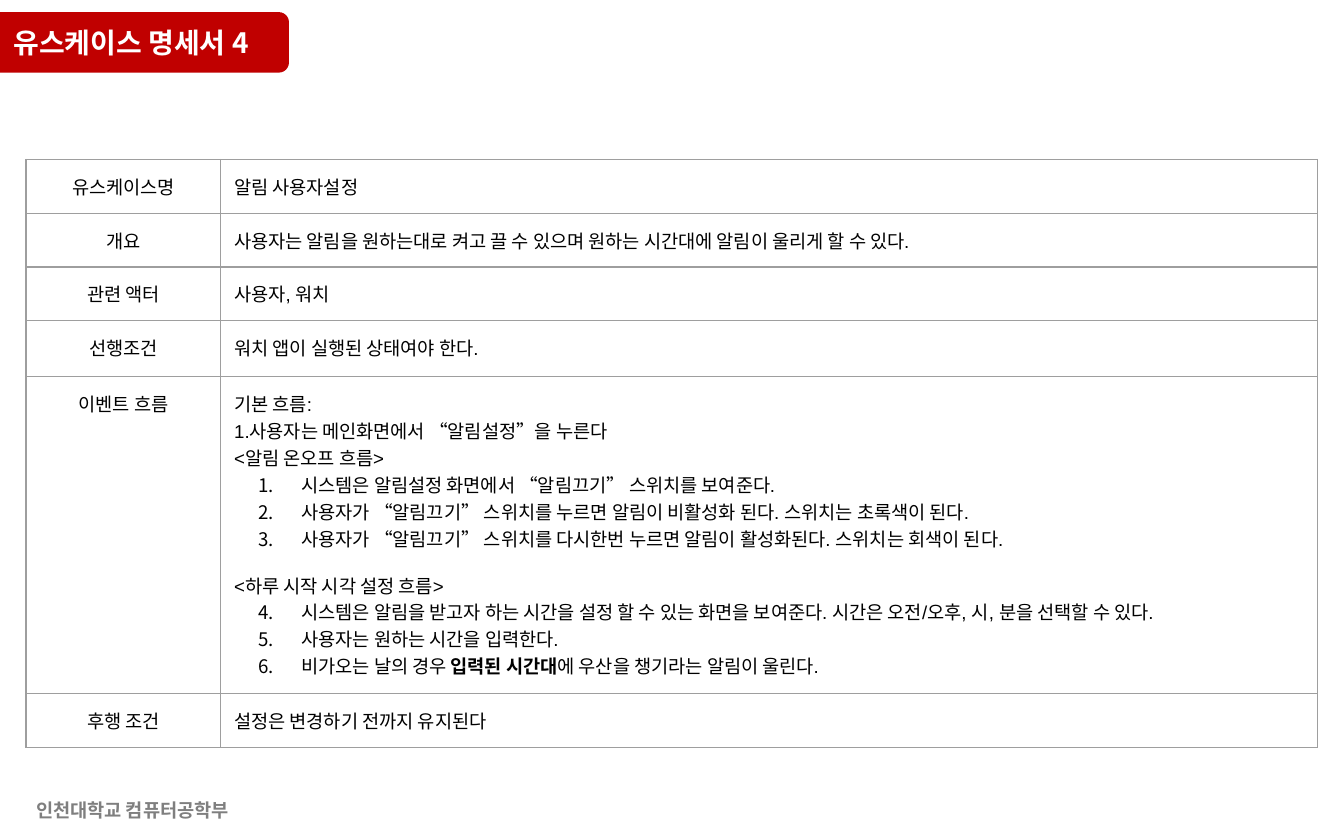
from lxml.etree import SubElement
from pptx import Presentation
from pptx.dml.color import RGBColor
from pptx.enum.shapes import MSO_SHAPE
from pptx.enum.text import MSO_ANCHOR, PP_ALIGN
from pptx.oxml import parse_xml
from pptx.oxml.ns import nsdecls, qn
from pptx.util import Pt

SANS = "Noto Sans CJK KR"
COLUMNS = [104.4, 587.4]
HEIGHTS = [28.7, 28.7, 28.7, 30, 169.8, 28.7]

EVENT_FLOW = [
    ("기본 흐름:", None),
    ("1.사용자는 메인화면에서 “알림설정”을 누른다", None),
    ("<알림 온오프 흐름>", None),
    ("시스템은 알림설정 화면에서 “알림끄기” 스위치를 보여준다.", 1),
    ("사용자가 “알림끄기” 스위치를 누르면 알림이 비활성화 된다. 스위치는 초록색이 된다.", 1),
    ("사용자가 “알림끄기” 스위치를 다시한번 누르면 알림이 활성화된다. 스위치는 회색이 된다.", 1),
    ("<하루 시작 시각 설정 흐름>", None),
    ("시스템은 알림을 받고자 하는 시간을 설정 할 수 있는 화면을 보여준다. "
     "시간은 오전/오후, 시, 분을 선택할 수 있다.", 4),
    ("사용자는 원하는 시간을 입력한다.", 4),
    ("비가오는 날의 경우 *입력된 시간대*에 우산을 챙기라는 알림이 울린다.", 4),
]
USE_CASE = [
    ("유스케이스명", [("알림 사용자설정", None)]),
    ("개요", [("사용자는 알림을 원하는대로 켜고 끌 수 있으며 원하는 시간대에 알림이 울리게 할 수 있다.", None)]),
    ("관련 액터", [("사용자, 워치", None)]),
    ("선행조건", [("워치 앱이 실행된 상태여야 한다.", None)]),
    ("이벤트 흐름", EVENT_FLOW),
    ("후행 조건", [("설정은 변경하기 전까지 유지된다", None)]),
]


def rgb(color):
    return RGBColor.from_string(color)


def format_paragraph(p, font, size, color, bold=False, align=PP_ALIGN.LEFT):
    p.alignment = align
    p.font.name = font
    p.font.size = Pt(size)
    p.font.bold = bold
    p.font.color.rgb = rgb(color)
    props = p._p.get_or_add_pPr().find(qn("a:defRPr"))
    SubElement(props, qn("a:ea")).set("typeface", SANS)


def number_paragraph(p, start):
    props = p._p.get_or_add_pPr()
    props.set("marL", str(Pt(36)))
    props.set("indent", str(Pt(-23)))
    props.insert(0, parse_xml(
        f'<a:buAutoNum {nsdecls("a")} type="arabicPeriod" startAt="{start}"/>'))


def set_margins(tf, side, top):
    tf.margin_left = tf.margin_right = Pt(side)
    tf.margin_top = tf.margin_bottom = Pt(top)


def add_title(s, text):
    bar = s.shapes.add_shape(MSO_SHAPE.ROUNDED_RECTANGLE, Pt(-11.5), Pt(6.5), Pt(166.3), Pt(32.4))
    bar.shadow.inherit = False
    bar.fill.solid()
    bar.fill.fore_color.rgb = rgb("C00000")
    bar.line.fill.background()
    title = s.shapes.title
    title.left, title.top, title.width, title.height = Pt(0), Pt(6.5), Pt(160.6), Pt(32.4)
    title.element.getparent().append(title.element)
    tf = title.text_frame
    tf.text = text
    tf.vertical_anchor = MSO_ANCHOR.MIDDLE
    set_margins(tf, 7.2, 0)
    format_paragraph(tf.paragraphs[0], SANS, 15, "FFFFFF", True)


def add_footer(s, text):
    sp = s.shapes.add_textbox(Pt(0), Pt(424.1), Pt(141.8), Pt(19.4))
    tf = sp.text_frame
    tf.word_wrap = True
    tf.vertical_anchor = MSO_ANCHOR.MIDDLE
    set_margins(tf, 7.2, 0)
    tf.text = text
    format_paragraph(tf.paragraphs[0], SANS, 10, "7F7F7F", True, PP_ALIGN.CENTER)


def format_cell(cell, color):
    cell.fill.background()
    set_margins(cell, 7.2, 7.2)
    props = cell._tc.get_or_add_tcPr()
    for i, side in enumerate("LRTB"):
        props.insert(i, parse_xml(
            f'<a:ln{side} {nsdecls("a")} w="{Pt(0.75)}"><a:solidFill>'
            f'<a:srgbClr val="{color}"/></a:solidFill></a:ln{side}>'))


def fill_cell(cell, lines, align):
    tf = cell.text_frame
    previous = None
    for i, (text, start) in enumerate(lines):
        p = tf.add_paragraph() if i else tf.paragraphs[0]
        for j, part in enumerate(text.split("*")):
            r = p.add_run()
            r.text = part
            if j % 2:
                r.font.bold = True
        if previous and not start:
            p.space_before = Pt(10.7)
        format_paragraph(p, "Arial", 10, "000000", align=align)
        if start:
            number_paragraph(p, start)
        previous = start


def add_use_case_table(s, rows):
    frame = s.shapes.add_table(len(rows), 2, Pt(13.9), Pt(85.4),
                               Pt(sum(COLUMNS)), Pt(sum(HEIGHTS)))
    table = frame.table
    table.first_row = table.horz_banding = False
    for column, width in zip(table.columns, COLUMNS):
        column.width = Pt(width)
    for i, (label, lines) in enumerate(rows):
        table.rows[i].height = Pt(HEIGHTS[i])
        fill_cell(table.cell(i, 0), [(label, None)], PP_ALIGN.CENTER)
        fill_cell(table.cell(i, 1), lines, PP_ALIGN.LEFT)
        for cell in table.rows[i].cells:
            format_cell(cell, "9E9E9E")


def main():
    prs = Presentation()
    prs.slide_width, prs.slide_height = Pt(720), Pt(450)
    s = prs.slides.add_slide(prs.slide_layouts[5])
    add_title(s, "유스케이스 명세서 4")
    add_use_case_table(s, USE_CASE)
    add_footer(s, "인천대학교 컴퓨터공학부")
    prs.save("out.pptx")


main()
